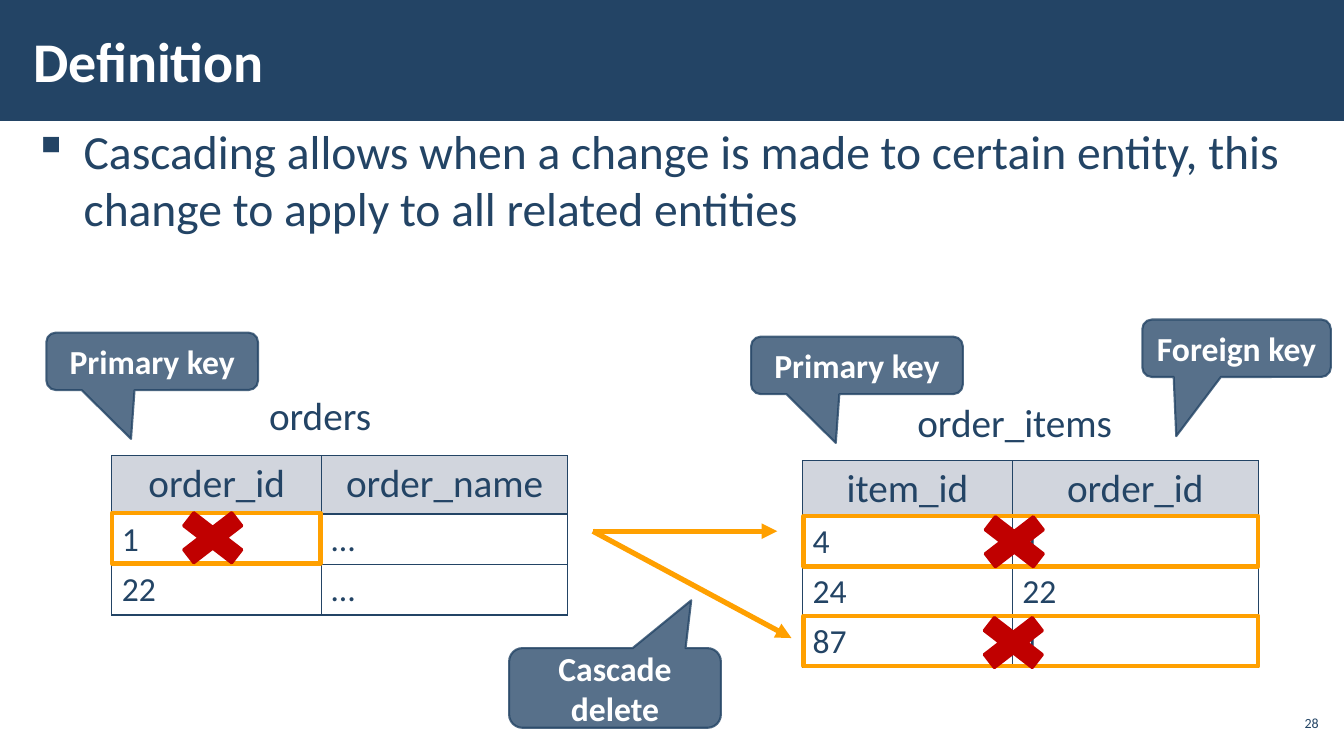
import pptx
import pptx.util
import pptx.dml.color
import pptx.enum.shapes
import pptx.enum.text
import pptx.oxml
import pptx.oxml.ns

Inches = pptx.util.Inches
Pt = pptx.util.Pt
KIND = pptx.enum.shapes.MSO_SHAPE
ALIGN = pptx.enum.text.PP_ALIGN
ANCHOR = pptx.enum.text.MSO_ANCHOR
NS = pptx.oxml.ns.nsdecls("a")

NAVY, SLATE, GREY = "234465", "4F6984", "D1D5DD"
WHITE, AMBER, RED = "FFFFFF", "FFA000", "C00000"

TITLE = "Definition"
BODY = ("Cascading allows when a change is made to certain entity, "
        "this change to apply to all related entities")
NUMBER = "28"
NAMES = [("orders", 2.57, 3.84, 1.23), ("order_items", 9, 3.91, 2.22)]
CALLS = [
    ("Primary key", (0.46, 3.3, 2.1, 0.57), (-0.1, 1.35)),
    ("Primary key", (7.45, 3.34, 2.1, 0.57), (-0.1, 1.35)),
    ("Foreign key", (11.33, 3.17, 1.87, 0.57), (-0.32, 1.53)),
    ("Cascade delete", (5.05, 6.43, 2.1, 0.79), (0.36, -1.1)),
]
COLS = (2.08, 2.44)
ROW = 0.5
TABLES = [
    (1.11, 4.52, 0.58, [("order_id", "order_name"), ("1", "…"), ("22", "…")]),
    (7.96, 4.57, 0.55, [("item_id", "order_id"), ("4", "1"),
                        ("24", "22"), ("87", "1")]),
]
START = (5.88, 5.27)
ENDS = [(7.71, 5.27), (7.85, 6.33)]
FRAMES = [(1.11, 5.09, 2.07), (7.97, 5.12, 4.51), (7.97, 6.11, 4.51)]
CROSSES = [(1.65, 4.98), (9.6, 5.02), (9.59, 6.02)]


def paint(color, value):
    color.rgb = pptx.dml.color.RGBColor.from_string(value)


def style(frame, size, color=NAVY, bold=False, align=ALIGN.LEFT):
    for para in frame.paragraphs:
        para.alignment = align
        for run in para.runs:
            run.font.name = "Calibri"
            run.font.size = Pt(size)
            run.font.bold = bold
            paint(run.font.color, color)


def add_text(text, box, size, color=NAVY, bold=False, align=ALIGN.LEFT,
             side=0.12, anchor=ANCHOR.TOP, wrap=True):
    frame = slide.shapes.add_textbox(*map(Inches, box)).text_frame
    frame.word_wrap = wrap
    frame.vertical_anchor = anchor
    frame.margin_left = frame.margin_right = Inches(side)
    frame.margin_top = frame.margin_bottom = Inches(0.04)
    frame.text = text
    style(frame, size, color, bold, align)
    return frame


def add_form(kind, box, fill=None, line=None, width=1):
    form = slide.shapes.add_shape(kind, *map(Inches, box))
    form.shadow.inherit = False
    if fill:
        form.fill.solid()
        paint(form.fill.fore_color, fill)
    else:
        form.fill.background()
    if line:
        paint(form.line.color, line)
        form.line.width = Pt(width)
    else:
        form.line.fill.background()
    return form


def fade(form, fill, line):
    tag = pptx.oxml.ns.qn("a:srgbClr")
    for color, part in zip(form._element.spPr.iter(tag), (fill, line)):
        color.append(pptx.oxml.parse_xml(f'<a:alpha {NS} val="{part * 1000}"/>'))


def add_grid(left, top, head, rows):
    size = (sum(COLS), head + ROW * (len(rows) - 1))
    grid = slide.shapes.add_table(len(rows), len(COLS), Inches(left),
                                  Inches(top), *map(Inches, size)).table
    grid.first_row = grid.horz_banding = False
    for col, width in zip(grid.columns, COLS):
        col.width = Inches(width)
    for i, row in enumerate(rows):
        grid.rows[i].height = Inches(ROW if i else head)
        for j, text in enumerate(row):
            cell = grid.cell(i, j)
            cell.text = text
            if i:
                cell.fill.background()
                style(cell.text_frame, 24)
            else:
                cell.fill.solid()
                paint(cell.fill.fore_color, GREY)
                cell.margin_left = cell.margin_right = Inches(0.17)
                style(cell.text_frame, 28, align=ALIGN.CENTER)
                cell.text_frame.paragraphs[0].line_spacing = 0.95
            props = cell._tc.get_or_add_tcPr()
            for k, side in enumerate("LRTB"):
                props.insert(k, pptx.oxml.parse_xml(
                    f'<a:ln{side} {NS} w="12700"><a:solidFill>'
                    f'<a:srgbClr val="{NAVY}"/></a:solidFill></a:ln{side}>'))


def add_arrow(start, end):
    arrow = slide.shapes.add_connector(
        pptx.enum.shapes.MSO_CONNECTOR.STRAIGHT, *map(Inches, start + end))
    paint(arrow.line.color, AMBER)
    arrow.line.width = Pt(3.75)
    arrow.line._get_or_add_ln().append(
        pptx.oxml.parse_xml(f'<a:tailEnd {NS} type="triangle"/>'))
    arrow._element.spPr.append(pptx.oxml.parse_xml(f'<a:effectLst {NS}/>'))


deck = pptx.Presentation()
deck.slide_width, deck.slide_height = Inches(13.33), Inches(7.5)
slide = deck.slides.add_slide(deck.slide_layouts[6])

add_form(KIND.RECTANGLE, (0, 0, 13.33, 1.2), NAVY)
para = add_text(BODY, (0.21, 1.17, 12.91, 6.09), 34).paragraphs[0]
para.space_before = para.space_after = Pt(6)
props = para._p.get_or_add_pPr()
props.set("marL", str(Inches(0.5)))
props.set("indent", str(Inches(-0.5)))
props.append(pptx.oxml.parse_xml(f'<a:buChar {NS} char="▪"/>'))
add_text(TITLE, (0.21, 0.11, 10.39, 0.97), 40, WHITE, True,
         anchor=ANCHOR.MIDDLE)
add_text(NUMBER, (12.65, 7, 0.47, 0.34), 10, align=ALIGN.RIGHT, side=0.04,
         anchor=ANCHOR.MIDDLE)

for text, left, top, width in NAMES:
    add_text(text, (left, top, width, 0.57), 28, side=0.1, wrap=False)
for end in ENDS:
    add_arrow(START, end)
for text, box, tip in CALLS:
    call = add_form(KIND.ROUNDED_RECTANGULAR_CALLOUT, box, SLATE, NAVY, 1.5)
    call.adjustments[0], call.adjustments[1] = tip
    fade(call, 95, 80)
    call.text_frame.text = text
    call.text_frame.vertical_anchor = ANCHOR.MIDDLE
    style(call.text_frame, 24, WHITE, True, ALIGN.CENTER)
for table in TABLES:
    add_grid(*table)
for left, top, width in FRAMES:
    add_form(KIND.RECTANGLE, (left, top, width, ROW), None, AMBER, 3)
for left, top in CROSSES:
    add_form(KIND.MATH_MULTIPLY, (left, top, 0.92, 0.71), RED, RED, 2)

deck.save("out.pptx")
